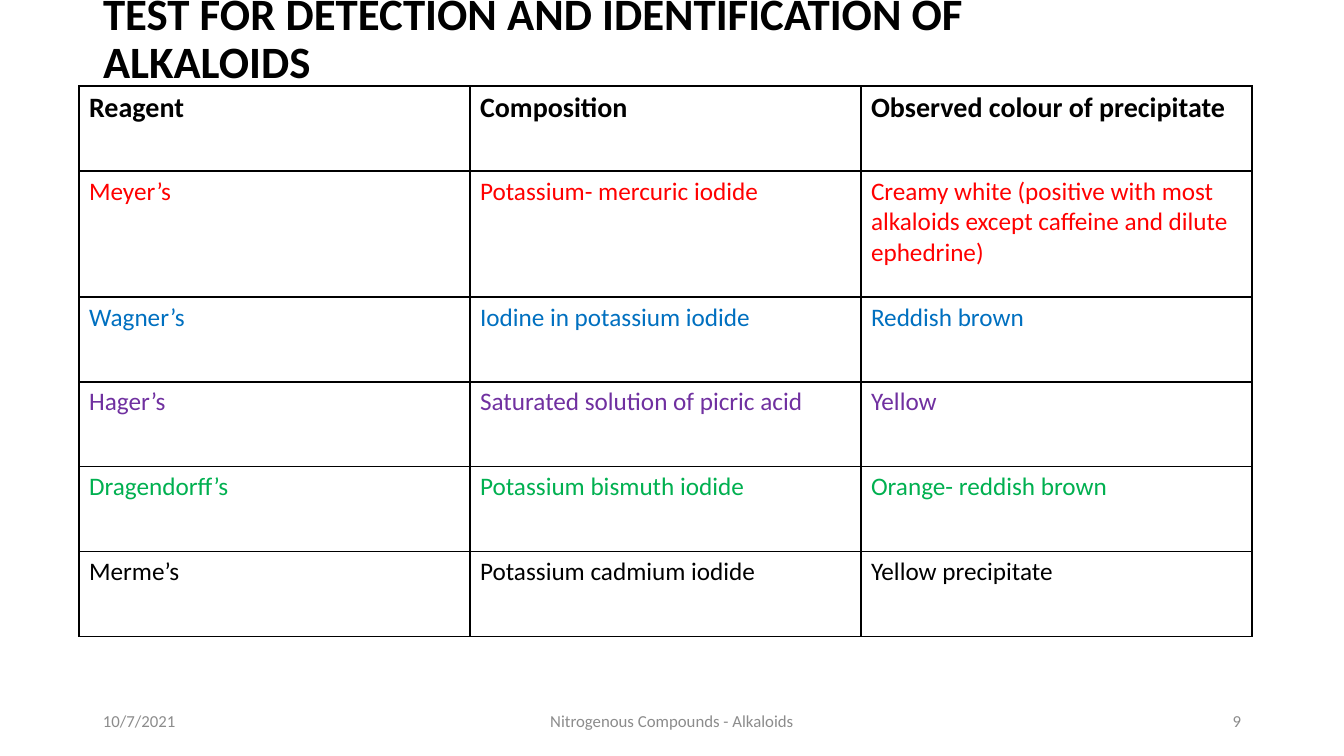
"""Build the slide on reagents that detect alkaloids."""
import pptx
import pptx.dml.color
import pptx.enum.text
import pptx.oxml
import pptx.oxml.ns
import pptx.util

ALIGN = pptx.enum.text.PP_ALIGN
ANCHOR = pptx.enum.text.MSO_ANCHOR
COLOURS = {"black": "000000", "red": "FF0000", "blue": "0070C0",
           "purple": "7030A0", "green": "00B050", "grey": "8C8C8C"}
TITLE = "TEST FOR DETECTION AND IDENTIFICATION OF ALKALOIDS"
HEADER = ("Reagent", "Composition", "Observed colour of precipitate")
REAGENTS = [
    ("red", "Meyer’s", "Potassium- mercuric iodide",
     "Creamy white (positive with most alkaloids except caffeine and dilute ephedrine)"),
    ("blue", "Wagner’s", "Iodine in potassium iodide", "Reddish brown"),
    ("purple", "Hager’s", "Saturated solution of picric acid", "Yellow"),
    ("green", "Dragendorff’s", "Potassium bismuth iodide", "Orange- reddish brown"),
    ("black", "Merme’s", "Potassium cadmium iodide", "Yellow precipitate"),
]
FOOTERS = [
    ("10/7/2021", 93, 302, ALIGN.LEFT),
    ("Nitrogenous Compounds - Alkaloids", 445, 454, ALIGN.CENTER),
    ("9", 949, 302, ALIGN.RIGHT),
]
FOOTER_TOP, FOOTER_HEIGHT = 701, 40
TABLE_LEFT, TABLE_TOP = 79, 86
COLUMN_WIDTH, ROW_HEIGHT, TALL_ROW_HEIGHT, TALL_ROW = 391, 85, 126, 1


def px(length):
    return pptx.util.Emu(round(length * 914400 / 100.8))


def write(frame, text, size=18, colour="black", bold=False, align=ALIGN.LEFT, spacing=None):
    frame.word_wrap = True
    para = frame.paragraphs[0]
    para.alignment = align
    para.line_spacing = spacing
    span = para.add_run()
    span.text = text
    span.font.name = "Calibri"
    span.font.size = pptx.util.Pt(size)
    span.font.bold = bold
    span.font.color.rgb = pptx.dml.color.RGBColor.from_string(COLOURS[colour])


def add_borders(cell):
    properties = cell._tc.get_or_add_tcPr()
    for index, side in enumerate(("lnL", "lnR", "lnT", "lnB")):
        properties.insert(index, pptx.oxml.parse_xml(
            f'<a:{side} {pptx.oxml.ns.nsdecls("a")} w="12700"><a:solidFill>'
            f'<a:srgbClr val="{COLOURS["black"]}"/></a:solidFill></a:{side}>'))


def add_title(page):
    title = page.shapes.title
    title.left, title.top, title.width, title.height = map(px, (93, 11, 1061, 58))
    frame = title.text_frame
    frame.auto_size = pptx.enum.text.MSO_AUTO_SIZE.NONE
    frame.vertical_anchor = ANCHOR.MIDDLE
    write(frame, TITLE, size=32, bold=True, spacing=0.9)


def add_reagents(page):
    rows = [("black", *HEADER), *REAGENTS]
    heights = [TALL_ROW_HEIGHT if r == TALL_ROW else ROW_HEIGHT for r in range(len(rows))]
    table = page.shapes.add_table(
        len(rows), len(HEADER), px(TABLE_LEFT), px(TABLE_TOP),
        px(COLUMN_WIDTH * len(HEADER)), px(sum(heights))).table
    table.first_row = table.horz_banding = False
    for column in table.columns:
        column.width = px(COLUMN_WIDTH)
    for r, (colour, *texts) in enumerate(rows):
        table.rows[r].height = px(heights[r])
        for c, text in enumerate(texts):
            cell = table.cell(r, c)
            cell.fill.background()
            add_borders(cell)
            write(cell.text_frame, text, size=18 if r else 20, colour=colour, bold=r == 0)


def add_footers(page):
    for text, left, width, align in FOOTERS:
        box = page.shapes.add_textbox(px(left), px(FOOTER_TOP), px(width), px(FOOTER_HEIGHT))
        box.text_frame.vertical_anchor = ANCHOR.MIDDLE
        write(box.text_frame, text, size=12, colour="grey", align=align)


def main():
    deck = pptx.Presentation()
    deck.slide_width, deck.slide_height = px(1344), px(756)
    page = deck.slides.add_slide(deck.slide_layouts[5])
    add_title(page)
    add_reagents(page)
    add_footers(page)
    deck.save("out.pptx")


if __name__ == "__main__":
    main()
